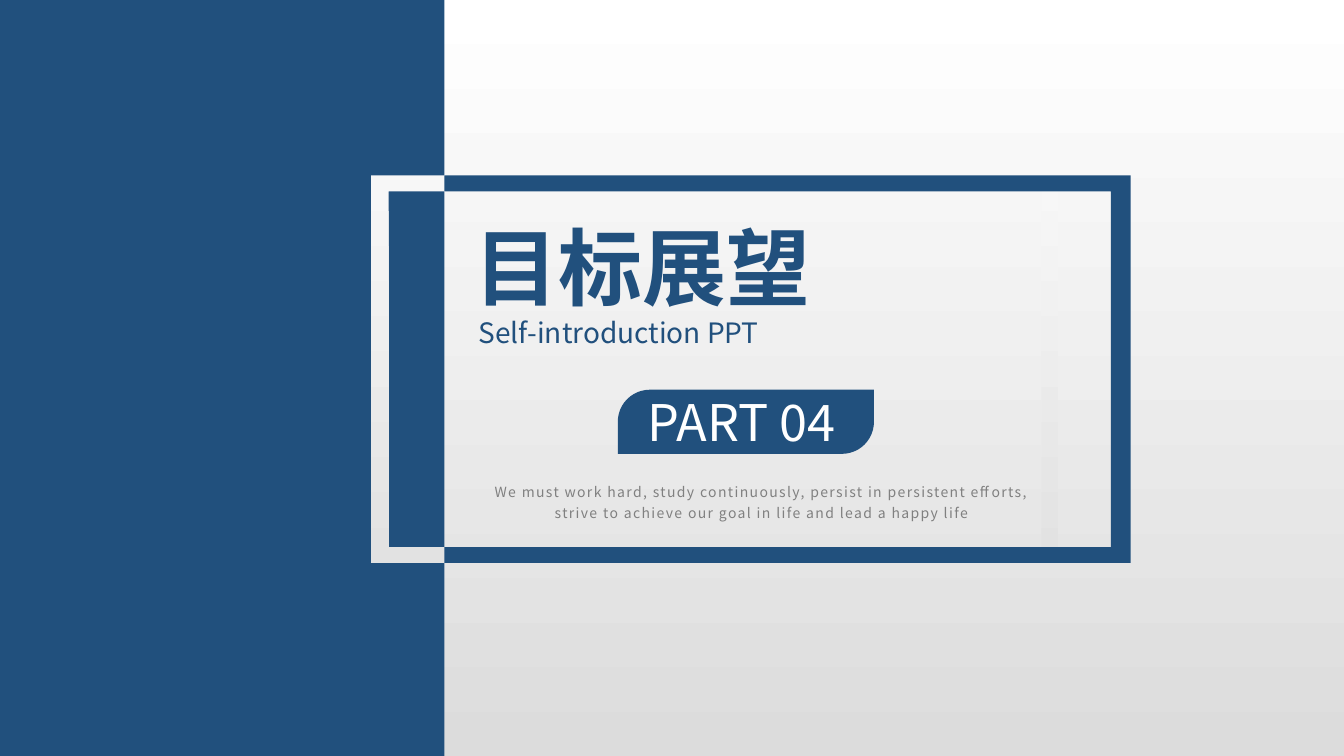
from dataclasses import dataclass

from lxml.etree import SubElement
from pptx import Presentation
from pptx.dml.color import RGBColor
from pptx.enum.shapes import MSO_SHAPE
from pptx.enum.text import MSO_ANCHOR, PP_ALIGN
from pptx.oxml.ns import qn
from pptx.util import Pt


@dataclass(frozen=True)
class Theme:
    navy: str = "21507D"
    white: str = "FFFFFF"
    silver: str = "DCDCDC"
    pale: str = "F7F7F7"
    mist: str = "E2E2E2"
    gray: str = "808080"
    font: str = "Noto Sans CJK SC"
    title: int = 60
    badge: int = 36
    label: int = 20
    body: int = 10


THEME = Theme()
WIDTH, HEIGHT = 960, 540
SPLIT = 317.5  # right edge of the blue panel
TOP, BASE = 125.3, 402
INNER_TOP, INNER_BASE = 136.8, 390.8


def shade(fill, first, last):
    """Fill with a gradient that runs from top to bottom."""
    fill.gradient()
    fill.gradient_angle = 270
    for stop, color in zip(fill.gradient_stops, (first, last)):
        stop.color.rgb = RGBColor.from_string(color)


def paint(shape, color):
    shape.fill.solid()
    shape.fill.fore_color.rgb = RGBColor.from_string(color)


def plain(shape):
    shape.shadow.inherit = False
    shape.line.fill.background()


def add_block(slide, kind, left, top, width, height):
    block = slide.shapes.add_shape(kind, Pt(left), Pt(top), Pt(width), Pt(height))
    plain(block)
    paint(block, THEME.navy)
    return block


def add_outline(slide, *loops):
    """Draw closed loops of points as one shape."""
    pen = None
    for loop in loops:
        start, *rest = [(Pt(x), Pt(y)) for x, y in loop]
        if pen is None:
            pen = slide.shapes.build_freeform(*start, scale=1.0)
        else:
            pen.move_to(*start)
        pen.add_line_segments(rest, close=True)
    outline = pen.convert_to_shape()
    plain(outline)
    return outline


def box(left, top, right, base):
    return [(left, top), (right, top), (right, base), (left, base)]


def add_text(slide, text, left, top, width, height, size, color,
             align=PP_ALIGN.JUSTIFY, bold=False, gap=0, lines=1.0):
    """Add one paragraph; gap is the letter spacing in points."""
    frame = slide.shapes.add_textbox(
        Pt(left), Pt(top), Pt(width), Pt(height)).text_frame
    frame.word_wrap = True
    frame.vertical_anchor = MSO_ANCHOR.TOP
    frame.text = text
    para = frame.paragraphs[0]
    para.alignment = align
    para.line_spacing = lines
    run = para.runs[0]
    font = run.font
    font.size, font.bold, font.name = Pt(size), bold, THEME.font
    font.color.rgb = RGBColor.from_string(color)
    props = run._r.get_or_add_rPr()
    SubElement(props, qn("a:ea")).set("typeface", THEME.font)
    if gap:
        props.set("spc", str(gap * 100))


def add_frame(slide):
    """Draw the frame, light on the panel and blue beside it."""
    ring = add_outline(slide, box(277.6, INNER_TOP, 743.8, INNER_BASE),
                       box(265, TOP, 756, BASE))
    shade(ring.fill, THEME.pale, THEME.mist)
    hook = add_outline(slide, [
        (SPLIT, INNER_TOP), (793.5, INNER_TOP), (793.5, INNER_BASE),
        (SPLIT, INNER_BASE), (SPLIT, BASE), (807.6, BASE),
        (807.6, TOP), (SPLIT, TOP)])
    paint(hook, THEME.navy)


def main():
    deck = Presentation()
    deck.slide_width, deck.slide_height = Pt(WIDTH), Pt(HEIGHT)
    slide = deck.slides.add_slide(deck.slide_layouts[6])
    shade(slide.background.fill, THEME.white, THEME.silver)

    add_block(slide, MSO_SHAPE.RECTANGLE, 0, 0, SPLIT, HEIGHT)
    add_frame(slide)
    add_text(slide, "目标展望", 332, 150.5, 424, 80,
             THEME.title, THEME.navy, bold=True)
    badge = add_block(slide, MSO_SHAPE.ROUND_2_DIAG_RECTANGLE,
                      441.3, 278.4, 183, 45.8)
    badge.adjustments[0], badge.adjustments[1] = 0.5, 0
    add_text(slide, "Self-introduction PPT", 334.8, 221.8, 418, 31.5,
             THEME.label, THEME.navy)
    add_text(slide, "PART 04", 441.3, 275.8, 177, 50.4,
             THEME.badge, THEME.white, PP_ALIGN.CENTER)
    add_text(slide, "We must work hard, study continuously, persist in "
             "persistent efforts, strive to achieve our goal in life and "
             "lead a happy life", 332, 339.8, 424, 36,
             THEME.body, THEME.gray, PP_ALIGN.CENTER, gap=1, lines=1.2)
    deck.save("out.pptx")


if __name__ == "__main__":
    main()
